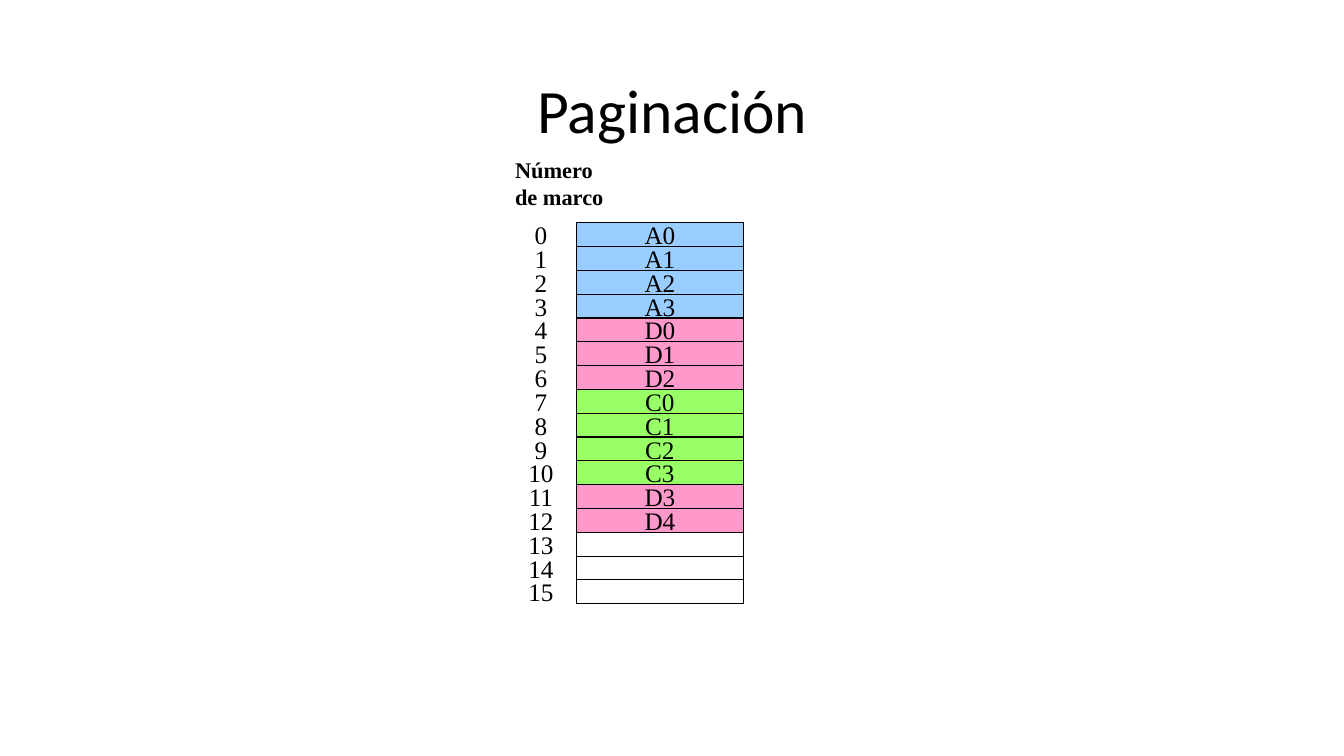
from dataclasses import dataclass

from pptx import Presentation
from pptx import util as u
from pptx.dml.color import RGBColor
from pptx.enum import shapes, text

COLORS = {"ink": "000000", "A": "99CCFF", "C": "99FF66", "D": "FF99CC"}
SERIF = "Times New Roman"
FRAME_COUNT = 16
MEMORY_TOP = 2.21
FRAME_HEIGHT = 3.78 / FRAME_COUNT
NUMBER_LEFT, NUMBER_WIDTH = 5.01, 0.71
PAGE_LEFT, PAGE_WIDTH = 5.72, 1.65
PAGES = "A0 A1 A2 A3 D0 D1 D2 C0 C1 C2 C3 D3 D4".split()


@dataclass
class Frame:
    number: int
    page: str = ""

    @property
    def top(self) -> float:
        return MEMORY_TOP + self.number * FRAME_HEIGHT


def rgb(name: str) -> RGBColor:
    return RGBColor.from_string(COLORS[name])


def write(shape, lines: list[str], size: float, font: str = SERIF,
          bold: bool = False, align=text.PP_ALIGN.CENTER,
          anchor=text.MSO_ANCHOR.MIDDLE, wrap: bool = False) -> None:
    body = shape.text_frame
    body.text = "\n".join(lines)
    body.word_wrap = wrap
    body.vertical_anchor = anchor
    font_format = {"name": font, "size": u.Pt(size), "bold": bold}
    for paragraph in body.paragraphs:
        paragraph.alignment = align
        for attribute, value in font_format.items():
            setattr(paragraph.font, attribute, value)
        paragraph.font.color.rgb = rgb("ink")


def add_title(slide) -> None:
    title = slide.shapes.title
    place = {"left": 0.92, "top": 0.4, "width": 11.5, "height": 1.45}
    for attribute, value in place.items():
        setattr(title, attribute, u.Inches(value))
    write(title, ["Paginación"], 44, font="Calibri", wrap=True)
    title.text_frame.paragraphs[0].line_spacing = 0.9


def add_number_heading(slide) -> None:
    heading = slide.shapes.add_textbox(
        u.Inches(NUMBER_LEFT), u.Inches(1.5), u.Inches(1.08), u.Inches(0.63))
    write(heading, ["Número", "de marco"], 16, bold=True,
          align=text.PP_ALIGN.LEFT, anchor=text.MSO_ANCHOR.TOP)
    heading.text_frame.auto_size = text.MSO_AUTO_SIZE.SHAPE_TO_FIT_TEXT


def add_frame(slide, frame: Frame) -> None:
    top, height = u.Inches(frame.top), u.Inches(FRAME_HEIGHT)
    page = slide.shapes.add_shape(
        shapes.MSO_SHAPE.RECTANGLE, u.Inches(PAGE_LEFT), top,
        u.Inches(PAGE_WIDTH), height)
    page.shadow.inherit = False
    page.line.color.rgb = rgb("ink")
    page.line.width = u.Pt(0.75)
    if frame.page:
        page.fill.solid()
        page.fill.fore_color.rgb = rgb(frame.page[0])
        write(page, [frame.page], 18)
    else:
        page.fill.background()
    number = slide.shapes.add_textbox(
        u.Inches(NUMBER_LEFT), top, u.Inches(NUMBER_WIDTH), height)
    write(number, [str(frame.number)], 18)


def main() -> None:
    deck = Presentation()
    deck.slide_width, deck.slide_height = u.Inches(13.33), u.Inches(7.5)
    slide = deck.slides.add_slide(deck.slide_layouts.get_by_name("Title Only"))
    add_title(slide)
    add_number_heading(slide)
    free = [""] * (FRAME_COUNT - len(PAGES))
    for number, page in enumerate(PAGES + free):
        add_frame(slide, Frame(number, page))
    deck.save("out.pptx")


if __name__ == "__main__":
    main()
